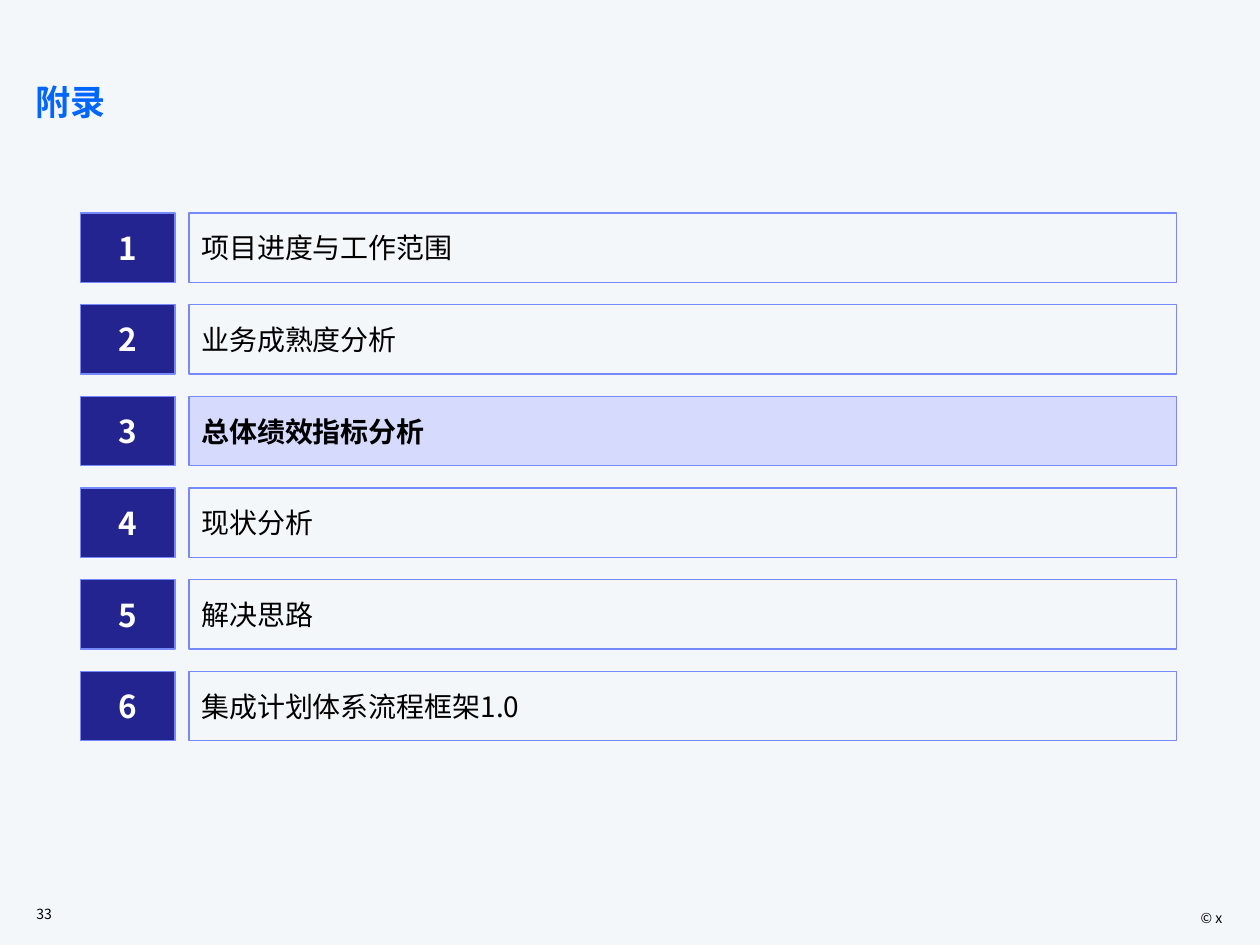
from pptx import Presentation
from pptx.dml.color import RGBColor
from pptx.enum.shapes import MSO_SHAPE as Shape
from pptx.enum.text import MSO_ANCHOR as Anchor, PP_ALIGN as Align
from pptx.util import Inches, Pt

BACK = RGBColor(0xF4, 0xF7, 0xFA)
BLUE = RGBColor(0x00, 0x66, 0xFF)
NAVY = RGBColor(0x24, 0x24, 0x90)
EDGE = RGBColor(0x78, 0x89, 0xFB)
PALE = RGBColor(0xD6, 0xDB, 0xFE)
BLACK = RGBColor(0, 0, 0)
WHITE = RGBColor(255, 255, 255)
FONT = "Noto Sans CJK SC"

TOPICS = ["项目进度与工作范围", "业务成熟度分析", "总体绩效指标分析",
          "现状分析", "解决思路", "集成计划体系流程框架1.0"]
ACTIVE = 3
ROW = 0.55
NUM = 0.75
GAP = 0.11


def write(shape, text, size=8, color=BLACK, bold=False, align=Align.LEFT,
          anchor=Anchor.TOP, wrap=True, top=0.05, lead=None):
    frame = shape.text_frame
    frame.word_wrap = wrap
    frame.vertical_anchor = anchor
    frame.margin_left = frame.margin_right = Inches(0.1)
    frame.margin_top, frame.margin_bottom = Inches(top), Inches(0.05)
    para = frame.paragraphs[0]
    para.alignment = align
    para.line_spacing = lead
    run = para.add_run()
    run.text = text
    font = run.font
    font.name, font.size, font.bold = FONT, Pt(size), bold
    font.color.rgb = color
    props = run._r.get_or_add_rPr()
    east = props.makeelement(
        "{http://schemas.openxmlformats.org/drawingml/2006/main}ea",
        {"typeface": FONT})
    props.append(east)


def add_title(slide, box, text):
    title = slide.shapes.title
    title.left, title.top, title.width, title.height = map(Inches, box)
    write(title, text, size=20, color=BLUE, bold=True, top=0.03, lead=0.9)


def add_box(slide, box, text, fill=None, **style):
    rect = slide.shapes.add_shape(Shape.RECTANGLE, *map(Inches, box))
    rect.shadow.inherit = False
    if fill is None:
        rect.fill.background()
    else:
        rect.fill.solid()
        rect.fill.fore_color.rgb = fill
    rect.line.color.rgb = EDGE
    rect.line.width = Pt(0.75)
    write(rect, text, anchor=Anchor.MIDDLE, wrap=False, **style)


def add_agenda(slide, box, topics, active):
    """Stack numbered rows evenly in the box, with one row highlighted."""
    left, top, width, height = box
    step = (height - ROW) / (len(topics) - 1)
    shift = NUM + GAP
    for i, topic in enumerate(topics):
        y = top + i * step
        on = i + 1 == active
        add_box(slide, (left, y, NUM, ROW), str(i + 1), fill=NAVY,
                size=18, color=WHITE, bold=True, align=Align.CENTER)
        add_box(slide, (left + shift, y, width - shift, ROW), topic,
                fill=PALE if on else None, size=16, bold=on)


def add_note(slide, box, text, **style):
    write(slide.shapes.add_textbox(*map(Inches, box)), text, **style)


def main():
    deck = Presentation()
    deck.slide_width, deck.slide_height = Inches(10), Inches(7.5)
    slide = deck.slides.add_slide(deck.slide_layouts[5])
    fill = slide.background.fill
    fill.solid()
    fill.fore_color.rgb = BACK

    add_note(slide, (8.3, 7.17, 1.5, 0.2), "© x", align=Align.RIGHT)
    add_note(slide, (0.19, 7.13, 0.7, 0.24), "33", anchor=Anchor.MIDDLE)
    add_title(slide, (0.18, 0.65, 9.65, 0.76), "附录")
    add_agenda(slide, (0.64, 1.69, 8.7, 4.19), TOPICS, ACTIVE)
    deck.save("out.pptx")


if __name__ == "__main__":
    main()
